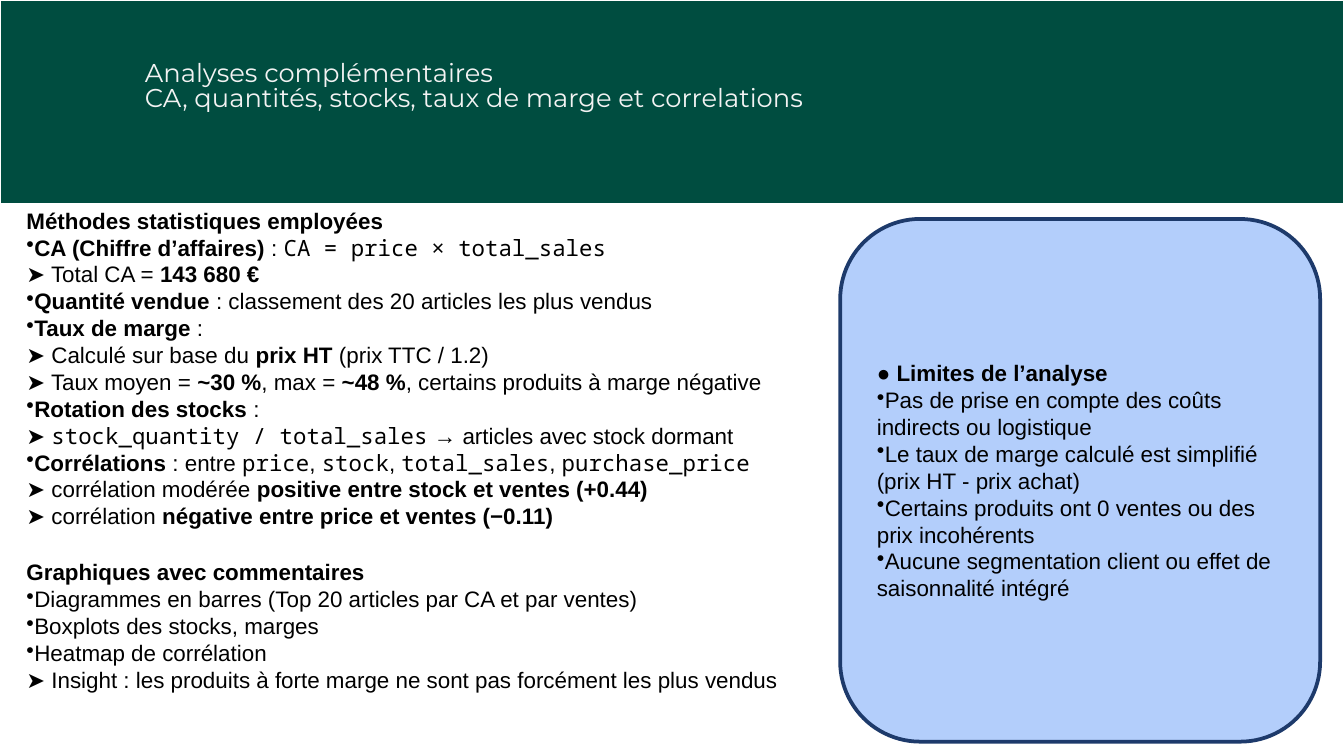
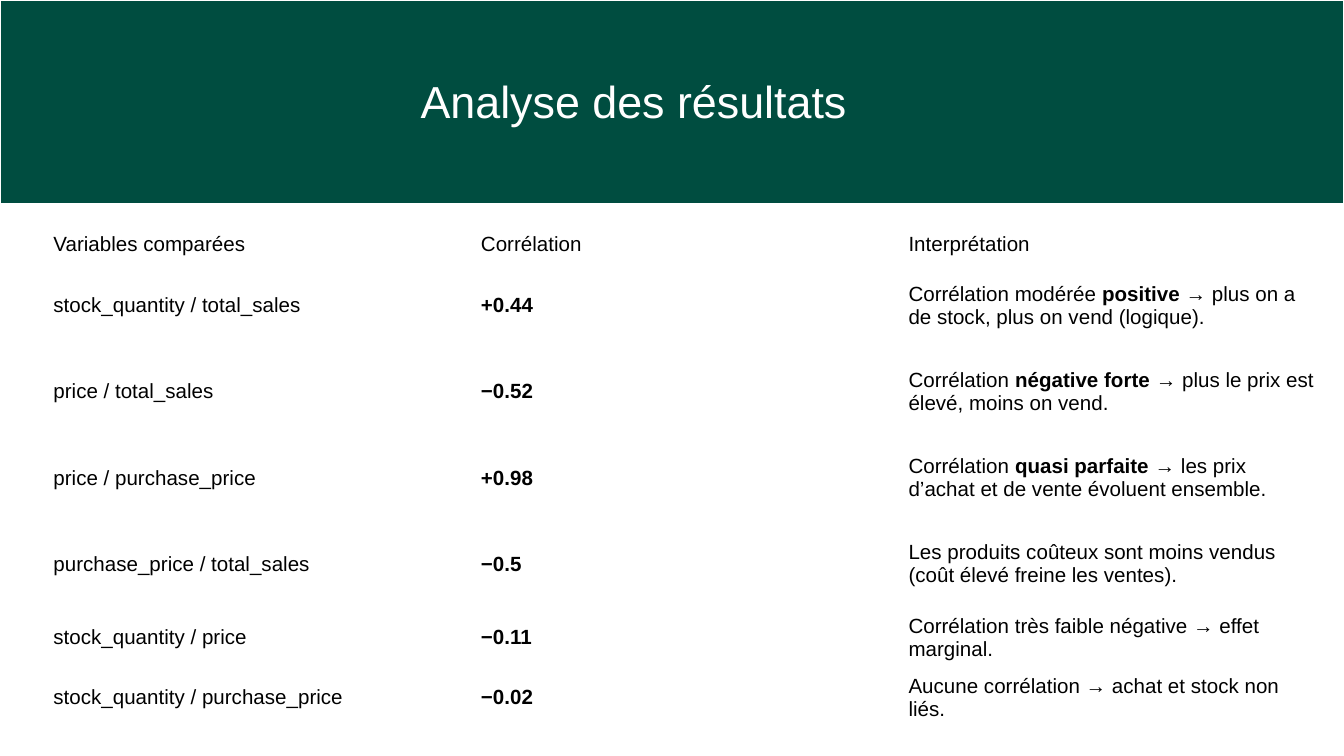
import copy

import lxml.etree
import pptx
import pptx.dml.color
import pptx.enum.shapes
import pptx.enum.text
import pptx.oxml.ns
import pptx.util

Cm = pptx.util.Cm
Pt = pptx.util.Pt
RGBColor = pptx.dml.color.RGBColor
ANCHOR = pptx.enum.text.MSO_ANCHOR
SHAPE = pptx.enum.shapes.MSO_SHAPE
qn = pptx.oxml.ns.qn

# Colours and text formats
GREEN = RGBColor(0x00, 0x4D, 0x40)
WHITE = RGBColor(0xFF, 0xFF, 0xFF)
PALE = RGBColor(0xF3, 0xF3, 0xF3)
BLACK = RGBColor(0x00, 0x00, 0x00)
BLUE = RGBColor(0xB3, 0xCE, 0xFB)
NAVY = RGBColor(0x1D, 0x3A, 0x6B)

MONO = "Noto Sans Mono"
BODY = {"name": "Arial", "size": Pt(12)}
CELL = {"name": "Arial", "size": Pt(11)}
HEAD = {"name": "Arial", "size": Pt(24)}
SUB = {"name": "Montserrat", "size": Pt(13.8)}

# Content: *bold*, `code`, a leading "•" makes a bullet
METHODS = [
    "*Méthodes statistiques employées*",
    "•*CA (Chiffre d’affaires)* : `CA = price × total_sales`\n"
    "➤ Total CA = *143 680 €*",
    "•*Quantité vendue* : classement des 20 articles les plus vendus",
    "•*Taux de marge* :\n➤ Calculé sur base du *prix HT* (prix TTC / 1.2)\n"
    "➤ Taux moyen = *~30 %*, max = *~48 %*, certains produits à marge négative",
    "•*Rotation des stocks* :\n"
    "➤ `stock_quantity / total_sales` → articles avec stock dormant",
    "•*Corrélations* : entre `price`, `stock`, `total_sales`, `purchase_price`\n"
    "➤ corrélation modérée *positive entre stock et ventes (+0.44)*\n"
    "➤ corrélation *négative entre price et ventes (−0.11)*",
]
CHARTS = [
    "*Graphiques avec commentaires*",
    "•Diagrammes en barres (Top 20 articles par CA et par ventes)",
    "•Boxplots des stocks, marges",
    "•Heatmap de corrélation\n"
    "➤ Insight : les produits à forte marge ne sont pas forcément les plus vendus",
]
LIMITS = [
    "*● Limites de l’analyse*",
    "•Pas de prise en compte des coûts indirects ou logistique",
    "•Le taux de marge calculé est simplifié (prix HT - prix achat)",
    "•Certains produits ont 0 ventes ou des prix incohérents",
    "•Aucune segmentation client ou effet de saisonnalité intégré",
]
ROWS = [
    ("Variables comparées", "Corrélation", "Interprétation"),
    ("stock_quantity / total_sales", "*+0.44*",
     "Corrélation modérée *positive* → plus on a de stock, plus on vend (logique)."),
    ("price / total_sales", "*−0.52*",
     "Corrélation *négative forte* → plus le prix est élevé, moins on vend."),
    ("price / purchase_price", "*+0.98*",
     "Corrélation *quasi parfaite* → les prix d’achat et de vente évoluent ensemble."),
    ("purchase_price / total_sales", "*−0.5*",
     "Les produits coûteux sont moins vendus (coût élevé freine les ventes)."),
    ("stock_quantity / price", "*−0.11*",
     "Corrélation très faible négative → effet marginal."),
    ("stock_quantity / purchase_price", "*−0.02*",
     "Aucune corrélation → achat et stock non liés."),
]
HEIGHTS = [0.69] + [1.63] * 4 + [1.14] * 2


def set_all(item, values):
    for key, value in values.items():
        setattr(item, key, value)


def add_run(para, text, style, color, bold, code):
    run = para.add_run()
    run.text = text
    set_all(run.font, {**style, "bold": bold})
    if code:
        run.font.name = MONO
    run.font.color.rgb = color


def add_break(para):
    # The break keeps the text format of the run before it
    last = para.runs[-1]._r
    para.add_line_break()
    para._p[-1].append(copy.deepcopy(last.rPr))


def add_marks(para, text, style, color):
    for i, part in enumerate(text.split("*")):
        for j, piece in enumerate(part.split("`")):
            for k, line in enumerate(piece.split("\n")):
                if k:
                    add_break(para)
                if line:
                    add_run(para, line, style, color, i % 2 == 1, j % 2 == 1)


def fill_text(frame, lines, style, color=BLACK, space=None):
    for i, line in enumerate(lines):
        para = frame.add_paragraph() if i else frame.paragraphs[0]
        set_all(para, {"alignment": pptx.enum.text.PP_ALIGN.LEFT,
                       "line_spacing": space})
        if line.startswith("•"):
            props = para._p.get_or_add_pPr()
            set_all(props, {"marL": 0, "indent": 0})
            lxml.etree.SubElement(props, qn("a:buChar"), char="•")
            line = line[1:]
        add_marks(para, line, style, color)


def add_text(slide, box, lines, style, color=BLACK, space=None, top=0.15):
    frame = slide.shapes.add_textbox(*map(Cm, box)).text_frame
    set_all(frame, {"word_wrap": True, "margin_top": Cm(top),
                    "margin_left": Cm(0.25), "margin_right": Cm(0.25)})
    fill_text(frame, lines, style, color, space)


def add_panel(slide, kind, box, fill, line, width):
    panel = slide.shapes.add_shape(kind, *map(Cm, box))
    panel.shadow.inherit = False
    panel.fill.solid()
    panel.fill.fore_color.rgb = fill
    panel.line.color.rgb = line
    panel.line.width = Pt(width)
    return panel


def add_slide(deck, box, lines, style, color, space=None):
    # Blank slide with the green band and its title
    slide = deck.slides.add_slide(deck.slide_layouts[6])
    add_panel(slide, SHAPE.RECTANGLE, (0, 0, 25.4, 3.86), GREEN, WHITE, 0.75)
    add_text(slide, box, lines, style, color, space, top=0.25)
    return slide


def add_grid(slide, left, top, width):
    count = len(ROWS[0])
    box = (left, top, width * count, sum(HEIGHTS))
    grid = slide.shapes.add_table(len(ROWS), count, *map(Cm, box)).table
    set_all(grid, {"first_row": False, "horz_banding": False})
    for col in grid.columns:
        col.width = Cm(width)
    for r, texts in enumerate(ROWS):
        grid.rows[r].height = Cm(HEIGHTS[r])
        for c, text in enumerate(texts):
            cell = grid.cell(r, c)
            cell.fill.background()
            set_all(cell, {"vertical_anchor": ANCHOR.MIDDLE,
                           "margin_left": Cm(0.2), "margin_right": Cm(0.2),
                           "margin_top": Cm(0.1), "margin_bottom": Cm(0.1)})
            fill_text(cell.text_frame, [text], CELL)


def main():
    deck = pptx.Presentation()
    set_all(deck, {"slide_width": Cm(25.4), "slide_height": Cm(14.29)})

    # Slide 1: methods, charts and limits
    title = ["Analyses complémentaires",
             "CA, quantités, stocks, taux de marge et correlations"]
    slide = add_slide(deck, (2.49, 0.94, 23.67, 1.6), title, SUB, PALE, 0.8)
    add_text(slide, (0.25, 3.76, 14.58, 7.19), METHODS, BODY)
    add_text(slide, (0.25, 10.41, 14.91, 3.58), CHARTS, BODY)
    panel = add_panel(slide, SHAPE.ROUNDED_RECTANGLE,
                      (15.88, 4.14, 9.07, 9.88), BLUE, NAVY, 2)
    set_all(panel.text_frame, {"word_wrap": True,
                               "vertical_anchor": ANCHOR.MIDDLE})
    fill_text(panel.text_frame, LIMITS, BODY)

    # Slide 2: table of correlations
    slide = add_slide(deck, (7.7, 1.14, 10, 1.6),
                      ["Analyse des résultats"], HEAD, WHITE)
    add_grid(slide, 0.81, 4.27, 8.08)

    deck.save("out.pptx")


if __name__ == "__main__":
    main()
